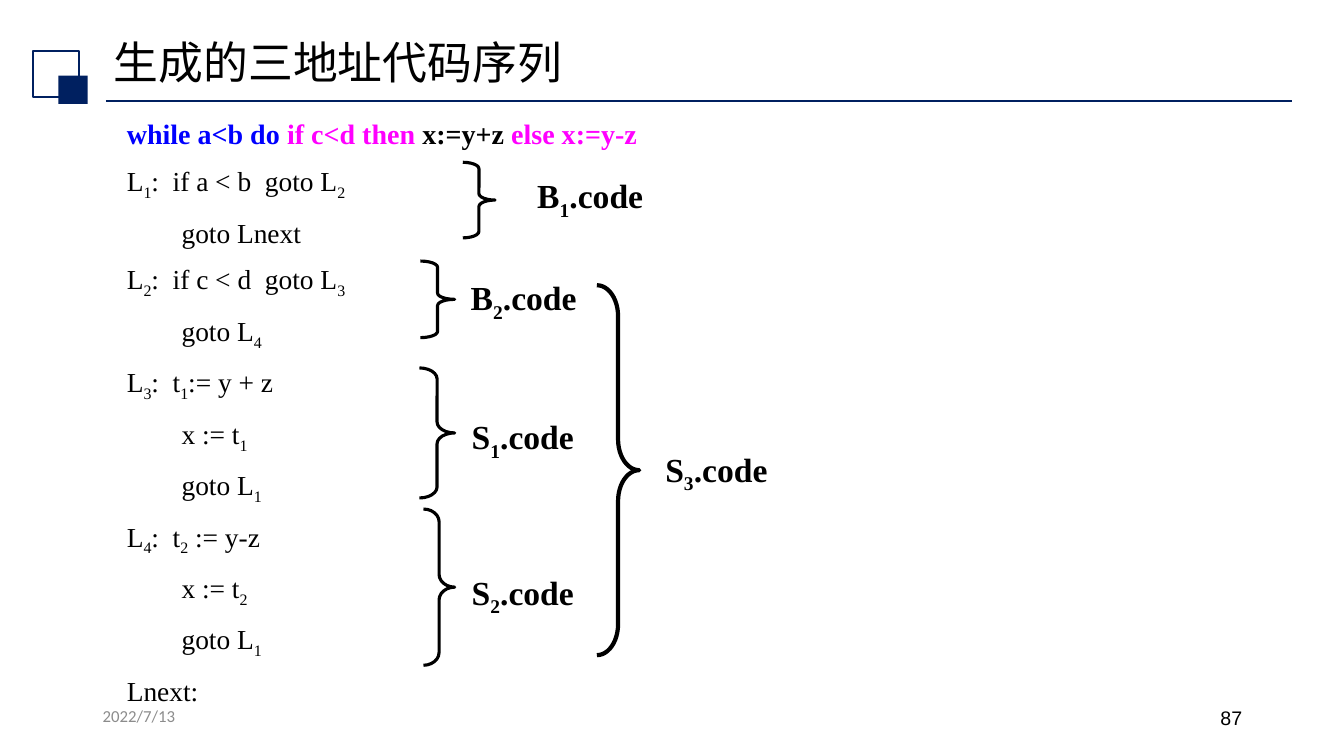
from lxml import etree
from pptx import Presentation
from pptx.dml.color import RGBColor
from pptx.enum import shapes, text
from pptx.oxml.ns import qn
from pptx.util import Inches, Pt

NAVY = RGBColor(0x00, 0x20, 0x60)
BLACK = RGBColor(0x00, 0x00, 0x00)
GREY = RGBColor(0x8C, 0x8C, 0x8C)
BLUE = RGBColor(0x00, 0x00, 0xFF)
MAGENTA = RGBColor(0xFF, 0x00, 0xFF)
SERIF = "Times New Roman"

TITLE = "生成的三地址代码序列"
STATEMENT = [("while a<b do ", BLUE), ("if c<d then ", MAGENTA),
             ("x:=y+z ", BLACK), ("else x:=y-z", MAGENTA)]
# The character after an underscore is a subscript.
CODE = [
    "L_1:  if a < b  goto L_2",
    "        goto Lnext",
    "L_2:  if c < d  goto L_3",
    "        goto L_4",
    "L_3:  t_1:= y + z",
    "        x := t_1",
    "        goto L_1",
    "L_4:  t_2 := y-z",
    "        x := t_2",
    "        goto L_1",
    "Lnext:",
]
# label, its left and top, brace box, brace curvature, line width
BRACES = [
    ("B_1.code", (5.23, 1.69), (4.59, 1.61, 0.32, 0.75), 0.2, 2.25),
    ("B_2.code", (4.57, 2.7), (4.17, 2.59, 0.34, 0.76), 0.18, 2.25),
    ("S_1.code", (4.58, 4.08), (4.16, 3.65, 0.35, 1.29), 0.31, 2.25),
    ("S_2.code", (4.58, 5.62), (4.2, 5.05, 0.31, 1.55), 0.41, 2.25),
    ("S_3.code", (6.5, 4.4), (5.92, 2.83, 0.42, 3.67), 0.73, 3),
]

deck = Presentation()
deck.slide_width, deck.slide_height = Inches(13.33), Inches(7.5)
page = deck.slides.add_slide(deck.slide_layouts[6])


def add_span(para, words, size, font, color, bold, subscript=False):
    span = para.add_run()
    span.text = words
    span.font.size, span.font.name, span.font.bold = Pt(size), font, bold
    span.font.color.rgb = color
    etree.SubElement(span.font._element, qn("a:ea")).set("typeface", font)
    if subscript:
        span.font._element.set("baseline", "-25000")


def add_text(lines, box, size, font=SERIF, color=BLACK, bold=False, wrap=True,
             align=text.PP_ALIGN.LEFT, anchor=text.MSO_ANCHOR.TOP,
             gap=0, hanging=0, spacing=None):
    """Each line is a string, or a list of (words, color) pairs."""
    frame = page.shapes.add_textbox(*map(Inches, box)).text_frame
    frame.word_wrap, frame.vertical_anchor = wrap, anchor
    for row, line in enumerate(lines):
        para = frame.add_paragraph() if row else frame.paragraphs[0]
        para.alignment, para.line_spacing = align, spacing
        para.space_before = Pt(gap if row else 0)
        if hanging:
            props = para._p.get_or_add_pPr()
            props.set("marL", str(Inches(hanging)))
            props.set("indent", str(-Inches(hanging)))
        for words, tint in [(line, color)] if isinstance(line, str) else line:
            first, *rest = words.split("_")
            pieces = [(first, False)]
            for part in rest:
                pieces += [(part[0], True), (part[1:], False)]
            for piece, subscript in pieces:
                if piece:
                    add_span(para, piece, size, font, tint, bold, subscript)


def add_outline(kind, box, color, width, fill=None):
    shape = page.shapes.add_shape(kind, *map(Inches, box))
    shape.shadow.inherit = False
    if fill is None:
        shape.fill.background()
    else:
        shape.fill.solid()
        shape.fill.fore_color.rgb = fill
    if width:
        shape.line.color.rgb, shape.line.width = color, Pt(width)
    else:
        shape.line.fill.background()
    return shape


rule = page.shapes.add_connector(shapes.MSO_CONNECTOR.STRAIGHT, Inches(1.05),
                                 Inches(1.0), Inches(12.81), Inches(1.0))
rule.line.color.rgb, rule.line.width = NAVY, Pt(1.25)
etree.SubElement(rule._element.spPr, qn("a:effectLst"))
SQUARE = shapes.MSO_SHAPE.RECTANGLE
add_outline(SQUARE, (0.33, 0.51, 0.45, 0.45), NAVY, 1.5)
add_outline(SQUARE, (0.58, 0.75, 0.29, 0.28), NAVY, 0, fill=NAVY)

add_text([TITLE], (1.03, 0.34, 11.5, 0.61), 32, font="Noto Sans CJK SC",
         anchor=text.MSO_ANCHOR.MIDDLE, spacing=0.9)
add_text(["2022/7/13"], (0.92, 6.95, 3, 0.4), 12, font="Calibri", color=GREY)
add_text(["87"], (9.42, 6.95, 3, 0.4), 14, font="Arial",
         align=text.PP_ALIGN.RIGHT)
add_text(CODE, (1.16, 1.58, 10.7, 5.37), 19.6, gap=10, hanging=0.25)
add_text([STATEMENT], (1.16, 1.11, 9.5, 0.43), 20, bold=True)

for label, corner, box, curve, width in BRACES:
    brace = add_outline(shapes.MSO_SHAPE.RIGHT_BRACE, box, BLACK, width)
    brace.adjustments[0] = curve
    add_text([label], (*corner, 1.25, 0.5), 24, bold=True, wrap=False)

deck.save("out.pptx")
